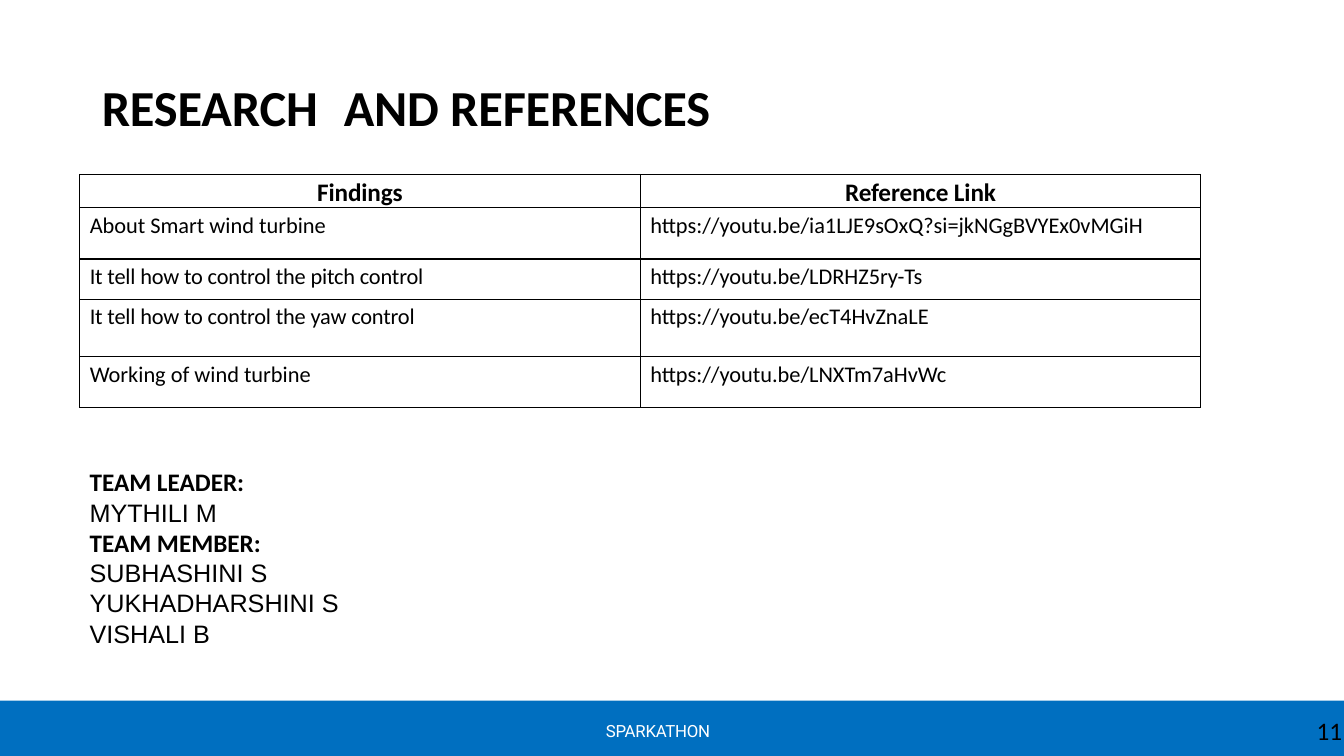
import pptx
import pptx.dml.color
import pptx.enum.shapes
import pptx.enum.text
import pptx.oxml
import pptx.oxml.ns
import pptx.util
from dataclasses import dataclass

PX = 9144  # EMU per px, 100 px to the inch


@dataclass(frozen=True)
class Theme:
    ink: str = "000000"
    paper: str = "FFFFFF"
    bar: str = "006FC0"
    body_font: str = "Calibri"
    name_font: str = "Arial"
    footer_font: str = "Roboto"
    title_size: int = 36
    head_size: int = 18
    cell_size: int = 16
    footer_size: int = 12


theme = Theme()


def style(font, size, face=theme.body_font, bold=False, color=theme.ink, spacing=0):
    """Format a font; spacing is in hundredths of a point."""
    font.size = pptx.util.Pt(size)
    font.name = face
    font.bold = bold
    font.color.rgb = pptx.dml.color.RGBColor.from_string(color)
    if spacing:
        font._rPr.set("spc", str(spacing))


def add_text(left, top, width, height, wrap=True, inset=True):
    """Add a text box that grows with its text and return its text frame."""
    frame = slide.shapes.add_textbox(left * PX, top * PX, width * PX, height * PX).text_frame
    frame.word_wrap = wrap
    frame.auto_size = pptx.enum.text.MSO_AUTO_SIZE.SHAPE_TO_FIT_TEXT
    if not inset:
        frame.margin_left = frame.margin_top = frame.margin_right = frame.margin_bottom = 0
    return frame


deck = pptx.Presentation()
deck.slide_width, deck.slide_height = 1333 * PX, 750 * PX
slide = deck.slides.add_slide(deck.slide_layouts.get_by_name("Title Only"))

# Footer bar
bar = slide.shapes.add_shape(
    pptx.enum.shapes.MSO_SHAPE.RECTANGLE, 0, 695 * PX, 1333 * PX, 55 * PX)
bar.shadow.inherit = False
bar.fill.solid()
bar.fill.fore_color.rgb = pptx.dml.color.RGBColor.from_string(theme.bar)
bar.line.fill.background()

# Title
title = slide.shapes.title
title.left, title.top, title.width, title.height = 100 * PX, 75 * PX, 640 * PX, 63 * PX
heading = title.text_frame
heading.margin_left = heading.margin_right = heading.margin_bottom = 0
heading.margin_top = 1 * PX
heading.vertical_anchor = pptx.enum.text.MSO_ANCHOR.TOP
heading.auto_size = pptx.enum.text.MSO_AUTO_SIZE.SHAPE_TO_FIT_TEXT
heading.text = "RESEARCH\tAND REFERENCES"
heading_line = heading.paragraphs[0]
heading_line.alignment = pptx.enum.text.PP_ALIGN.LEFT
heading_props = heading_line._p.get_or_add_pPr()
heading_props.set("marL", str(1 * PX))
heading_props.set("indent", "0")
heading_props.set("defTabSz", str(240 * PX))
heading_props.append(pptx.oxml.parse_xml(
    f'<a:tabLst {pptx.oxml.ns.nsdecls("a")}><a:tab pos="{240 * PX}" algn="l"/></a:tabLst>'))
style(heading_line.font, theme.title_size, bold=True, spacing=-10)

# References
references = [
    ("Findings", "Reference Link"),
    ("About Smart wind turbine", "https://youtu.be/ia1LJE9sOxQ?si=jkNGgBVYEx0vMGiH"),
    ("It tell how to control the pitch control", "https://youtu.be/LDRHZ5ry-Ts"),
    ("It tell how to control the yaw control", "https://youtu.be/ecT4HvZnaLE"),
    ("Working of wind turbine", "https://youtu.be/LNXTm7aHvWc"),
]
row_heights = [30, 51, 40, 57, 50]
table = slide.shapes.add_table(
    len(references), 2, 79 * PX, 173 * PX, 1112 * PX, sum(row_heights) * PX).table
table.first_row = table.horz_banding = False
for row, (height, texts) in enumerate(zip(row_heights, references)):
    table.rows[row].height = height * PX
    is_head = row == 0
    for column, text in enumerate(texts):
        cell = table.cell(row, column)
        cell.margin_left = cell.margin_right = cell.margin_bottom = 0
        cell.margin_top = (3 if is_head else 4) * PX
        cell_props = cell._tc.get_or_add_tcPr()
        for side in ("lnL", "lnR", "lnT", "lnB"):
            cell_props.append(pptx.oxml.parse_xml(
                f'<a:{side} {pptx.oxml.ns.nsdecls("a")} w="12700"><a:solidFill>'
                f'<a:srgbClr val="{theme.ink}"/></a:solidFill></a:{side}>'))
        cell.fill.background()
        cell.text = text
        line = cell.text_frame.paragraphs[0]
        if is_head:
            line.alignment = pptx.enum.text.PP_ALIGN.CENTER
            style(line.font, theme.head_size, bold=True, spacing=-10)
        else:
            line._p.get_or_add_pPr().set("marL", str(10 * PX))
            line._p.get_or_add_pPr().set("indent", "0")
            style(line.font, theme.cell_size,
                  spacing=-10 if text.startswith("It tell") else 0)

# Footer text
event = add_text(600, 715, 250, 20, inset=False).paragraphs[0]
event.text = "SPARKATHON"
event._p.get_or_add_pPr().set("marL", str(1 * PX))
event.line_spacing = pptx.util.Pt(14.2)
style(event.font, theme.footer_size, theme.footer_font, color=theme.paper, spacing=-20)

page = add_text(1296, 705, 46, 40, wrap=False).paragraphs[0]
page.text = "11"
style(page.font, theme.head_size)

# Team
team = [
    ("TEAM LEADER:", True),
    ("MYTHILI M", False),
    ("TEAM MEMBER:", True),
    ("SUBHASHINI S", False),
    ("YUKHADHARSHINI S", False),
    ("VISHALI B", False),
]
roster = add_text(79, 458, 379, 192)
for index, (text, is_role) in enumerate(team):
    line = roster.add_paragraph() if index else roster.paragraphs[0]
    line.text = text
    style(line.font, theme.head_size,
          theme.body_font if is_role else theme.name_font, bold=is_role)

deck.save("out.pptx")
